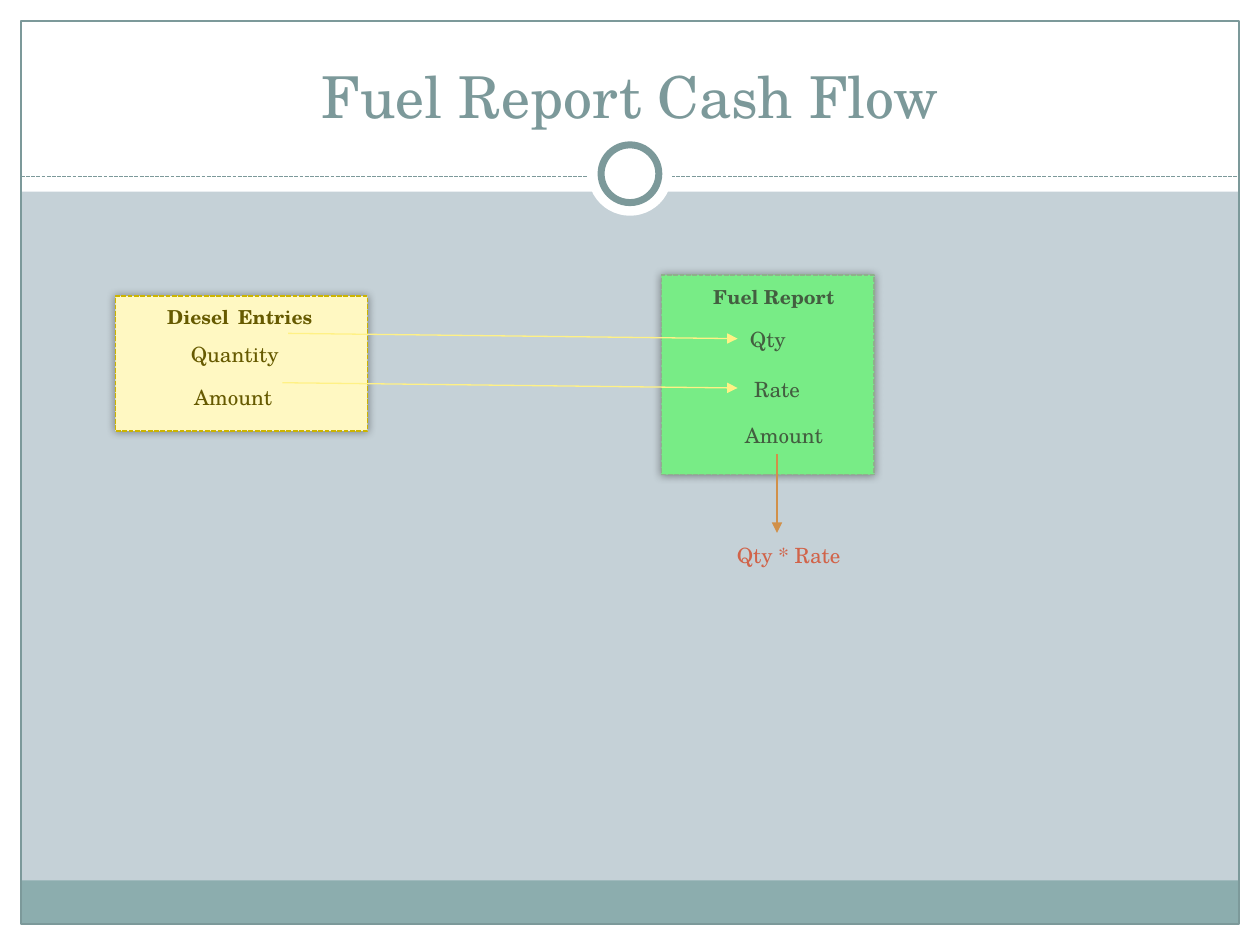
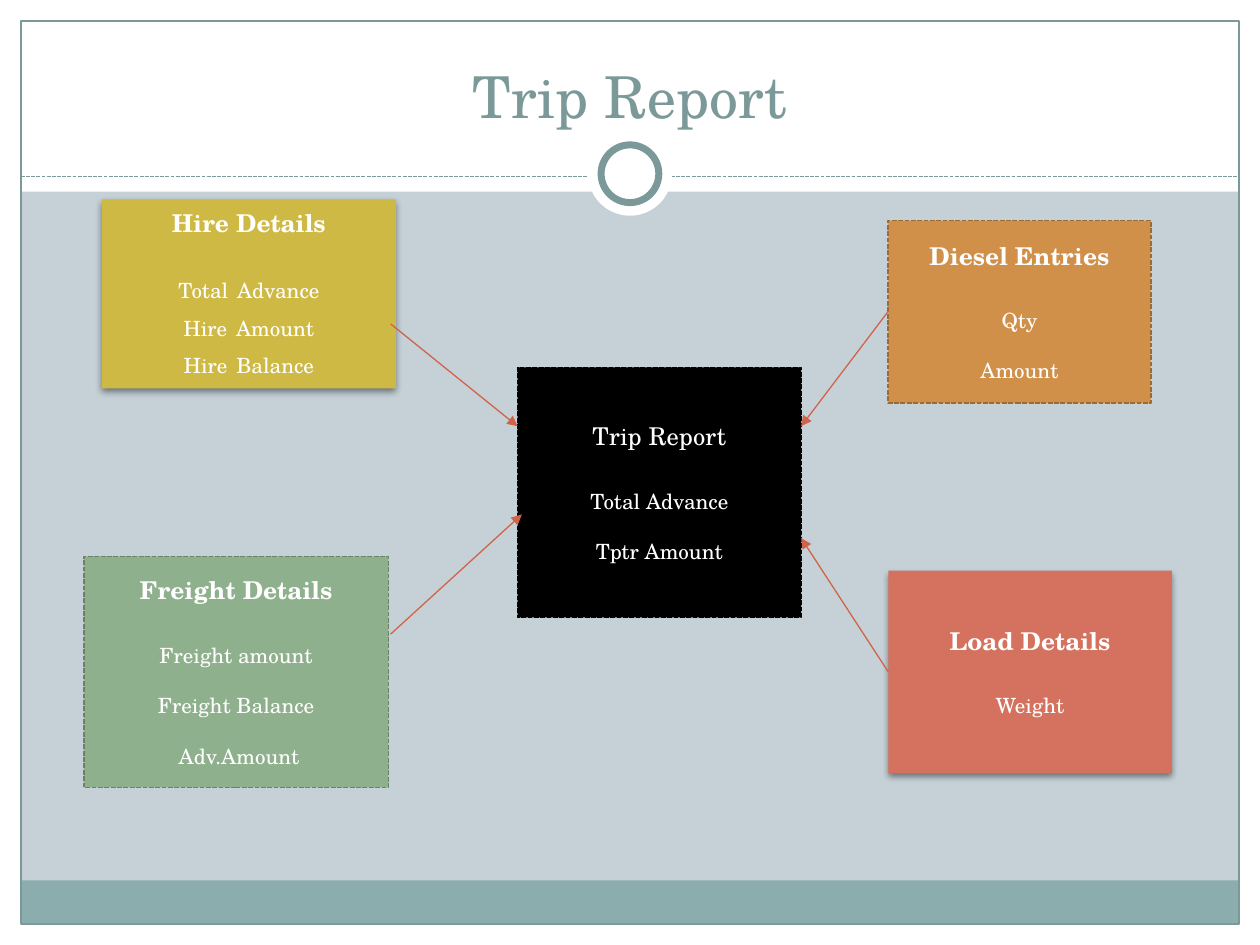
from pptx import Presentation, util as u
from pptx.dml.color import RGBColor
from pptx.enum import dml, shapes, text
from pptx.oxml import ns, parse_xml

FONT = "TeX Gyre Schola"
WHITE = RGBColor(0xFF, 0xFF, 0xFF)
BLACK = RGBColor(0, 0, 0)
PALE = RGBColor(0xC5, 0xD1, 0xD7)
TEAL = RGBColor(0x7C, 0x99, 0x9A)
BAND = RGBColor(0x8C, 0xAD, 0xAE)
CREAM = RGBColor(0xFF, 0xF8, 0xC2)
GOLD = RGBColor(0xCC, 0xB4, 0x00)
OLIVE = RGBColor(0x66, 0x5A, 0x00)
YELLOW = RGBColor(0xFF, 0xF1, 0x85)
MINT = RGBColor(0x78, 0xEC, 0x86)
SAGE = RGBColor(0x8F, 0xB0, 0x8C)
MOSS = RGBColor(0x6A, 0x82, 0x68)
FOREST = RGBColor(0x43, 0x5E, 0x40)
MUSTARD = RGBColor(0xCF, 0xB9, 0x45)
ORANGE = RGBColor(0xD1, 0x90, 0x49)
BROWN = RGBColor(0x9B, 0x6B, 0x36)
CORAL = RGBColor(0xD4, 0x72, 0x5F)
RED = RGBColor(0xD1, 0x63, 0x49)

RECT = shapes.MSO_SHAPE.RECTANGLE
OVAL = shapes.MSO_SHAPE.OVAL
DASH = dml.MSO_LINE.SQUARE_DOT
CENTER, LEFT = text.PP_ALIGN.CENTER, text.PP_ALIGN.LEFT
TOP, MIDDLE, BOTTOM = text.MSO_ANCHOR.TOP, text.MSO_ANCHOR.MIDDLE, text.MSO_ANCHOR.BOTTOM
GLOW = (40, 5, 0, 0)
DROP = (45, 4, 2, 90)

prs = Presentation()
prs.slide_width, prs.slide_height = u.Inches(10), u.Inches(7.5)
COLS, ROWS = 120, 90
CELL = prs.slide_width / COLS


def add_box(s, kind, at, fill=None, line=None, width=0.9, dash=None, shadow=None,
            rows=(), color=WHITE, align=CENTER, anchor=MIDDLE):
    place = [round(v * CELL) for v in at]
    if kind is None:
        sp = s.shapes.add_textbox(*place)
    else:
        sp = s.shapes.add_shape(kind, *place)
        sp.shadow.inherit = False
        if fill is None:
            sp.fill.background()
        else:
            sp.fill.solid()
            sp.fill.fore_color.rgb = fill
        if line is None:
            sp.line.fill.background()
        else:
            sp.line.color.rgb = line
            sp.line.width = u.Pt(width)
            sp.line.dash_style = dash
    if shadow:
        alpha, blur, dist, angle = shadow
        sp._element.spPr.find(ns.qn("a:effectLst")).append(parse_xml(
            f'<a:outerShdw {ns.nsdecls("a")} blurRad="{u.Pt(blur)}" dist="{u.Pt(dist)}" '
            f'dir="{angle * 60000}" algn="ctr" rotWithShape="0"><a:srgbClr val="000000">'
            f'<a:alpha val="{alpha * 1000}"/></a:srgbClr></a:outerShdw>'))
    tf = sp.text_frame
    tf.word_wrap = True
    tf.vertical_anchor = anchor
    for i, (words, size, bold, before, wide) in enumerate(rows):
        p = tf.paragraphs[0] if i == 0 else tf.add_paragraph()
        p.alignment = align
        p.space_before = u.Pt(before)
        for part in (words.partition(" ") if wide else [words]):
            r = p.add_run()
            r.text = part
            r.font.name = FONT
            r.font.size = u.Pt(18 if part == " " else size)
            r.font.bold = bold
            r.font.color.rgb = color


def add_line(s, ends, color, dash=None, arrow=True):
    c = s.shapes.add_connector(shapes.MSO_CONNECTOR.STRAIGHT, *[round(v * CELL) for v in ends])
    c.line.color.rgb = color
    c.line.width = u.Pt(0.75)
    c.line.dash_style = dash
    if arrow:
        c.line._get_or_add_ln().append(parse_xml(f'<a:tailEnd {ns.nsdecls("a")} type="triangle"/>'))
    c._element.spPr.append(parse_xml(f'<a:effectLst {ns.nsdecls("a")}/>'))


slides = []
for title in ("Fuel Report Cash Flow", "Trip Report"):
    s = prs.slides.add_slide(prs.slide_layouts[6])
    slides.append(s)
    s.background.fill.solid()
    s.background.fill.fore_color.rgb = PALE
    for at in ((0, ROWS - 2, COLS, 2), (0, 0, COLS, 18.25), (0, 0, 2, ROWS), (COLS - 2, 0, 2, ROWS)):
        add_box(s, RECT, at, WHITE)
    add_box(s, RECT, (2, 83.85, COLS - 4, 4.1), BAND)
    add_box(s, RECT, (2, 2, COLS - 4, ROWS - 4), line=TEAL, width=0.75)
    add_line(s, (2, 16.8, COLS - 2, 16.8), TEAL, DASH, False)
    add_box(s, OVAL, (56, 12.55, 8, 8), WHITE)
    add_box(s, OVAL, (57.25, 13.8, 5.5, 5.5), WHITE, TEAL, 4)
    add_box(s, None, (4, 3, COLS - 8, 10), rows=[(title, 33, False, 0, False)],
            color=TEAL, anchor=BOTTOM)

fuel, trip = slides

cards = [
    ((11, 28.2, 24, 12.85), CREAM, GOLD, OLIVE, [
        ("Diesel Entries", 14.75, 27.35, 19, 11, True, True),
        ("Quantity", 17, 31.9, 17, 12, False, False),
        ("Amount", 17.3, 36, 14, 12, False, False)]),
    ((63, 26.2, 20.25, 19), MINT, SAGE, FOREST, [
        ("Fuel Report", 66.75, 26.6, 18, 11, True, False),
        ("Qty", 70.25, 30.5, 13, 12, False, False),
        ("Rate", 70.65, 35.3, 10, 12, False, False),
        ("Amount", 69.75, 39.65, 21, 12, False, False)]),
]
for at, fill, line, color, labels in cards:
    add_box(fuel, RECT, at, fill, line, dash=DASH, shadow=GLOW)
    for words, x, y, w, size, bold, wide in labels:
        add_box(fuel, None, (x, y, w, 3.6), rows=[(words, size, bold, 0, wide)],
                color=color, align=LEFT, anchor=TOP)
add_line(fuel, (27.45, 31.75, 70.25, 32.25), YELLOW)
add_line(fuel, (26.9, 36.45, 70.25, 36.95), YELLOW)
add_box(fuel, None, (69, 51.1, 19, 3.6), rows=[("Qty * Rate", 12, False, 0, False)],
        color=RED, align=LEFT, anchor=TOP)
add_line(fuel, (74, 43.25, 74, 50.75), ORANGE)

boxes = [
    ((9.7, 19, 28, 18), MUSTARD, None, DROP, "Hire Details", True, 17, 0, True,
     ["Total Advance", "Hire Amount", "Hire Balance"]),
    ((84.6, 21, 25, 17.4), ORANGE, BROWN, None, "Diesel Entries", True, 21.5, 14.4, False,
     ["Qty", "Amount"]),
    ((8, 53, 29, 22), SAGE, MOSS, None, "Freight Details", True, 21.5, 14.4, False,
     ["Freight amount", "Freight Balance", " Adv.Amount"]),
    ((49.3, 35, 27, 23.8), BLACK, BLACK, None, "Trip Report", False, 21.5, 14.4, False,
     ["Total Advance", "Tptr Amount"]),
    ((84.6, 54.35, 27, 19.3), CORAL, None, DROP, "Load Details", True, 21.5, 0, False,
     ["Weight"]),
]
for at, fill, line, shadow, heading, bold, first_gap, gap, wide, items in boxes:
    rows = [(heading, 14, bold, 0, False)]
    for i, item in enumerate(items):
        rows.append((item, 12, False, gap if i else first_gap, wide))
    add_box(trip, RECT, at, fill, line, dash=DASH, shadow=shadow, rows=rows)

for ends in ((37.2, 60.4, 49.7, 49), (37.2, 30.85, 49.3, 40.6),
             (84.6, 29.65, 76.3, 40.6), (84.6, 64, 76.3, 51.25)):
    add_line(trip, ends, RED)

prs.save("out.pptx")
